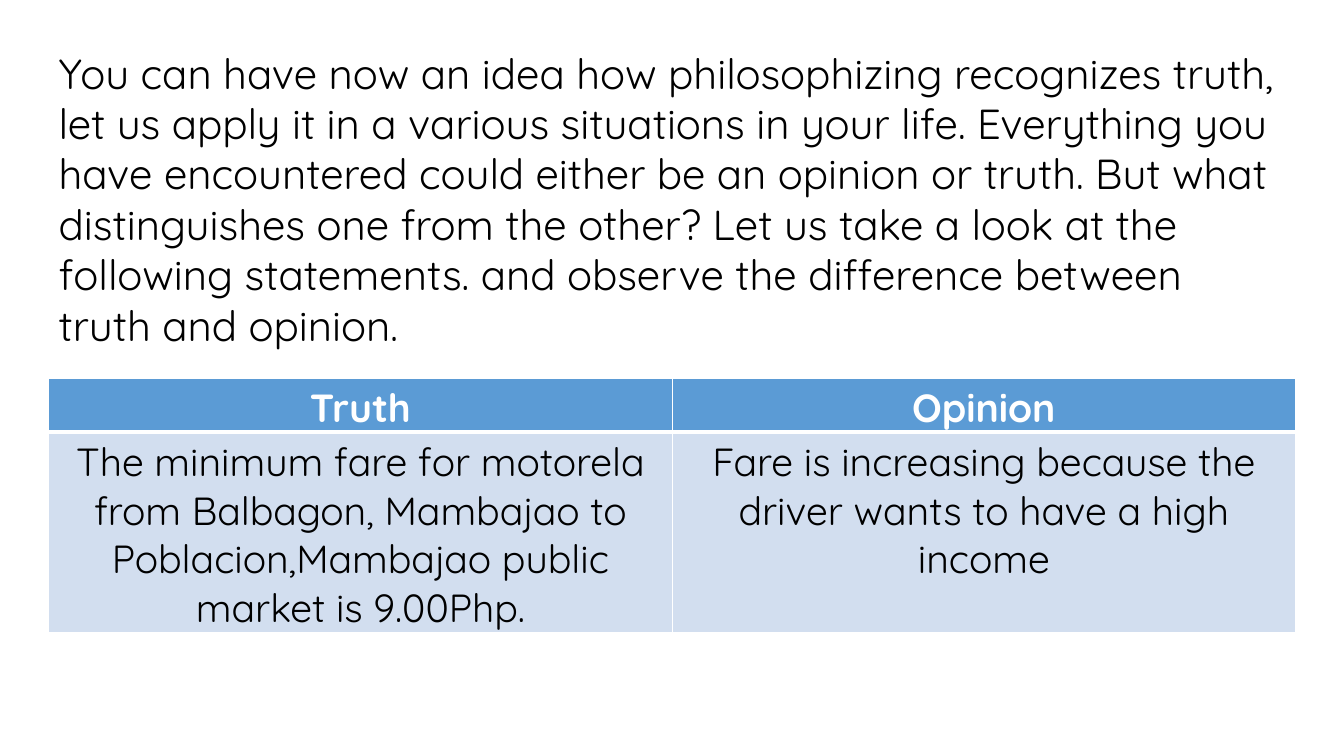
from dataclasses import dataclass

from lxml import etree
from pptx import Presentation
from pptx.dml.color import RGBColor
from pptx.enum.text import MSO_AUTO_SIZE, PP_ALIGN
from pptx.oxml.ns import qn
from pptx.util import Pt

CENTER = PP_ALIGN.CENTER
LEFT = PP_ALIGN.LEFT
GROW = MSO_AUTO_SIZE.SHAPE_TO_FIT_TEXT


@dataclass(frozen=True)
class Theme:
    font: str = "Quicksand"
    ink: str = "000000"
    paper: str = "FFFFFF"
    header_fill: str = "5B9BD5"
    body_fill: str = "D2DEEF"
    intro_size: float = 30
    table_size: float = 28
    thin_rule: float = 1
    thick_rule: float = 3


class SlideBuilder:
    def __init__(self, slide, theme):
        self.slide = slide
        self.theme = theme

    def add_words(self, frame, text, size, color, bold=False, align=LEFT):
        paragraph = frame.paragraphs[0]
        paragraph.alignment = align
        run = paragraph.add_run()
        run.text = text
        style = {"name": self.theme.font, "size": Pt(size), "bold": bold}
        for key, value in style.items():
            setattr(run.font, key, value)
        run.font.color.rgb = RGBColor.from_string(color)

    def text(self, text, left, top, width, height):
        box = self.slide.shapes.add_textbox(Pt(left), Pt(top), Pt(width), Pt(height))
        box.text_frame.word_wrap = True
        box.text_frame.auto_size = GROW
        self.add_words(box.text_frame, text, self.theme.intro_size, self.theme.ink)

    def border(self, cell, side, width):
        line = etree.SubElement(cell._tc.get_or_add_tcPr(), qn(f"a:{side}"), w=str(Pt(width)))
        fill = etree.SubElement(line, qn("a:solidFill"))
        etree.SubElement(fill, qn("a:srgbClr"), val=self.theme.paper)

    def cell(self, cell, text, header, rules):
        theme = self.theme
        cell.margin_top, cell.margin_bottom = Pt(3.6), 0
        # Borders come before the fill in the cell properties
        for side, width in rules.items():
            self.border(cell, side, width)
        cell.fill.solid()
        fill = theme.header_fill if header else theme.body_fill
        cell.fill.fore_color.rgb = RGBColor.from_string(fill)
        color = theme.paper if header else theme.ink
        self.add_words(cell.text_frame, text, theme.table_size, color, header, CENTER)

    def table(self, rows, left, top, width, heights):
        theme = self.theme
        frame = self.slide.shapes.add_table(
            len(rows), len(rows[0]), Pt(left), Pt(top), Pt(width), Pt(sum(heights)))
        table = frame.table
        for row, height in zip(table.rows, heights):
            row.height = Pt(height)
        for r, row in enumerate(rows):
            rules = dict.fromkeys(("lnL", "lnR", "lnT", "lnB"), theme.thin_rule)
            # The thick rule parts the header from the body
            if r < 2:
                rules["lnB" if r == 0 else "lnT"] = theme.thick_rule
            for c, text in enumerate(row):
                self.cell(table.cell(r, c), text, r == 0, rules)


def main():
    deck = Presentation()
    deck.slide_width, deck.slide_height = Pt(960), Pt(540)
    page = SlideBuilder(deck.slides.add_slide(deck.slide_layouts[6]), Theme())
    left, width = 34.8, 890.6

    # Introduction
    intro = (
        "You can have now an idea how philosophizing recognizes truth, let us apply it "
        "in a various situations in your life. Everything you have encountered could "
        "either be an opinion or truth. But what distinguishes one from the other? Let "
        "us take a look at the following statements. and observe the difference between "
        "truth and opinion."
    )
    page.text(intro, left, 30.2, width, 225.4)

    # Truth and opinion side by side
    statements = [
        ("Truth", "Opinion"),
        ("The minimum fare for motorela from Balbagon, Mambajao to "
         "Poblacion,Mambajao public market is 9.00Php.",
         "Fare is increasing because the driver wants to have a high income"),
    ]
    page.table(statements, left, 270, width, (38.6, 143.6))

    deck.save("out.pptx")


if __name__ == "__main__":
    main()
